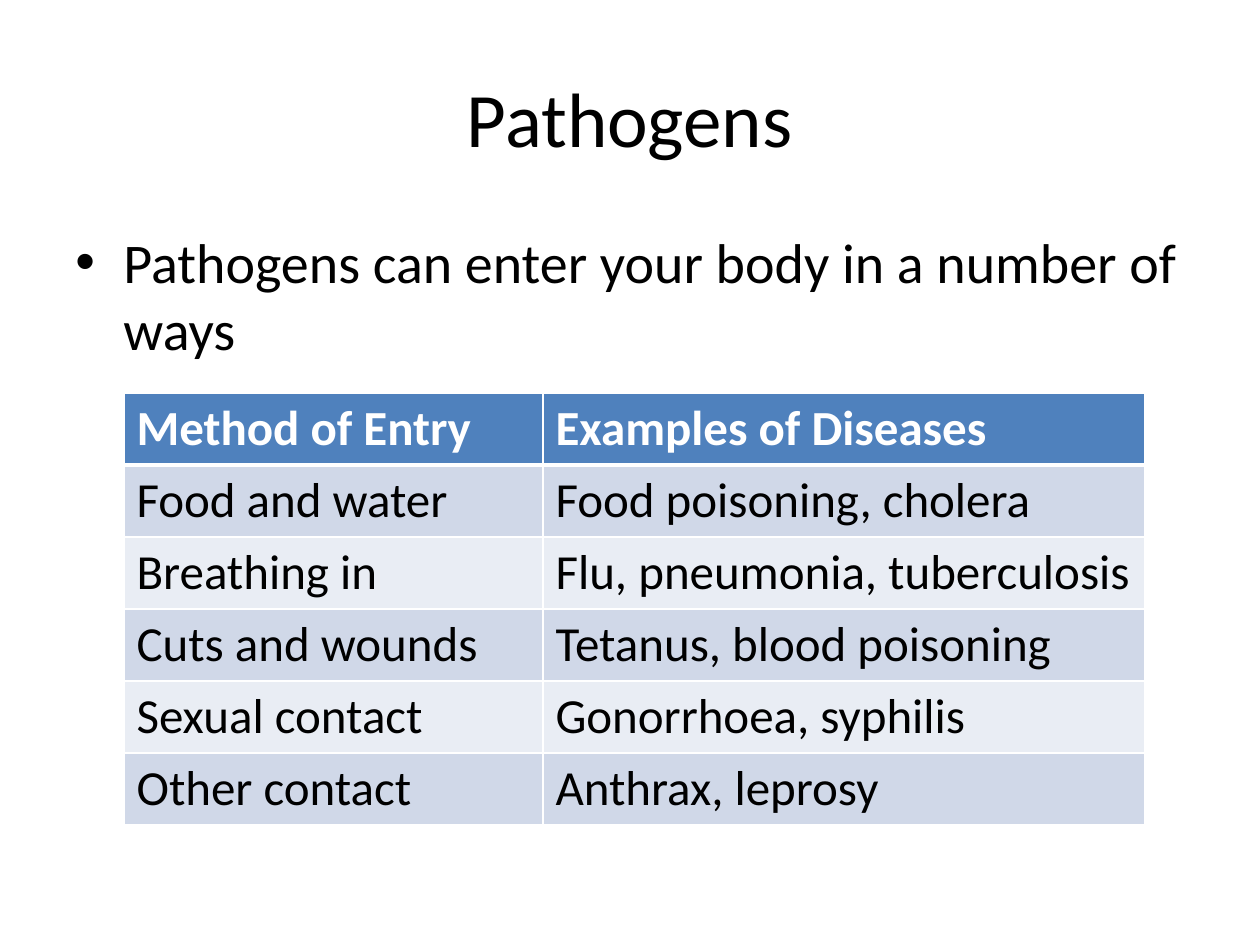
from lxml.etree import SubElement
from pptx import Presentation
from pptx.dml.color import RGBColor
from pptx.enum.text import MSO_ANCHOR, PP_ALIGN
from pptx.oxml.ns import qn
from pptx.util import Pt

PX = 914400 // 126
THEME = {
    "font": "Calibri", "title": 44, "body": 32, "cell": 28,
    "text": "000000", "header_text": "FFFFFF", "border": "FFFFFF",
    "header": "4F81BD", "bands": ("D0D8E8", "E9EDF4"),
}


def write(text_frame, text, size, color=THEME["text"], bold=False,
          align=PP_ALIGN.LEFT, anchor=MSO_ANCHOR.TOP, bullet_indent=0):
    text_frame.word_wrap = True
    text_frame.vertical_anchor = anchor
    paragraph = text_frame.paragraphs[0]
    paragraph.alignment = align
    if bullet_indent:
        properties = paragraph._p.get_or_add_pPr()
        properties.set("marL", str(bullet_indent * PX))
        properties.set("indent", str(-bullet_indent * PX))
        SubElement(properties, qn("a:buFont"), typeface="Arial")
        SubElement(properties, qn("a:buChar"), char="•")
    run = paragraph.add_run()
    run.text = text
    run.font.name = THEME["font"]
    run.font.size = Pt(size)
    run.font.bold = bold
    run.font.color.rgb = RGBColor.from_string(color)


def set_borders(cell, widths):
    """Draw the cell's sides, given as {side: points}; call before filling."""
    properties = cell._tc.get_or_add_tcPr()
    for side, width in widths.items():
        line = SubElement(properties, qn(f"a:ln{side}"), w=str(Pt(width)))
        fill = SubElement(line, qn("a:solidFill"))
        SubElement(fill, qn("a:srgbClr"), val=THEME["border"])


presentation = Presentation()
presentation.slide_width = 1260 * PX
presentation.slide_height = 945 * PX
slide = presentation.slides.add_slide(presentation.slide_layouts[6])

title = slide.shapes.add_textbox(63 * PX, 38 * PX, 1134 * PX, 157 * PX)
write(title.text_frame, "Pathogens", THEME["title"],
      align=PP_ALIGN.CENTER, anchor=MSO_ANCHOR.MIDDLE)

body = slide.shapes.add_textbox(63 * PX, 221 * PX, 1134 * PX, 624 * PX)
write(body.text_frame, "Pathogens can enter your body in a number of ways",
      THEME["body"], bullet_indent=48)

entries = [
    ("Method of Entry", "Examples of Diseases"),
    ("Food and water", "Food poisoning, cholera"),
    ("Breathing in", "Flu, pneumonia, tuberculosis"),
    ("Cuts and wounds", "Tetanus, blood poisoning"),
    ("Sexual contact", "Gonorrhoea, syphilis"),
    ("Other contact", "Anthrax, leprosy"),
]
column_widths = (419, 602)
row_height = 72
table = slide.shapes.add_table(
    len(entries), len(column_widths), 124 * PX, 393 * PX,
    sum(column_widths) * PX, len(entries) * row_height * PX).table
for column, width in zip(table.columns, column_widths):
    column.width = width * PX

for row_index, row in enumerate(entries):
    is_header = row_index == 0
    fill_color = THEME["header"] if is_header else THEME["bands"][(row_index - 1) % 2]
    for column_index, text in enumerate(row):
        cell = table.cell(row_index, column_index)
        set_borders(cell, {"L": 1, "R": 1, "T": 3 if row_index == 1 else 1,
                           "B": 3 if is_header else 1})
        cell.fill.solid()
        cell.fill.fore_color.rgb = RGBColor.from_string(fill_color)
        write(cell.text_frame, text, THEME["cell"], bold=is_header,
              color=THEME["header_text" if is_header else "text"])

presentation.save("out.pptx")
